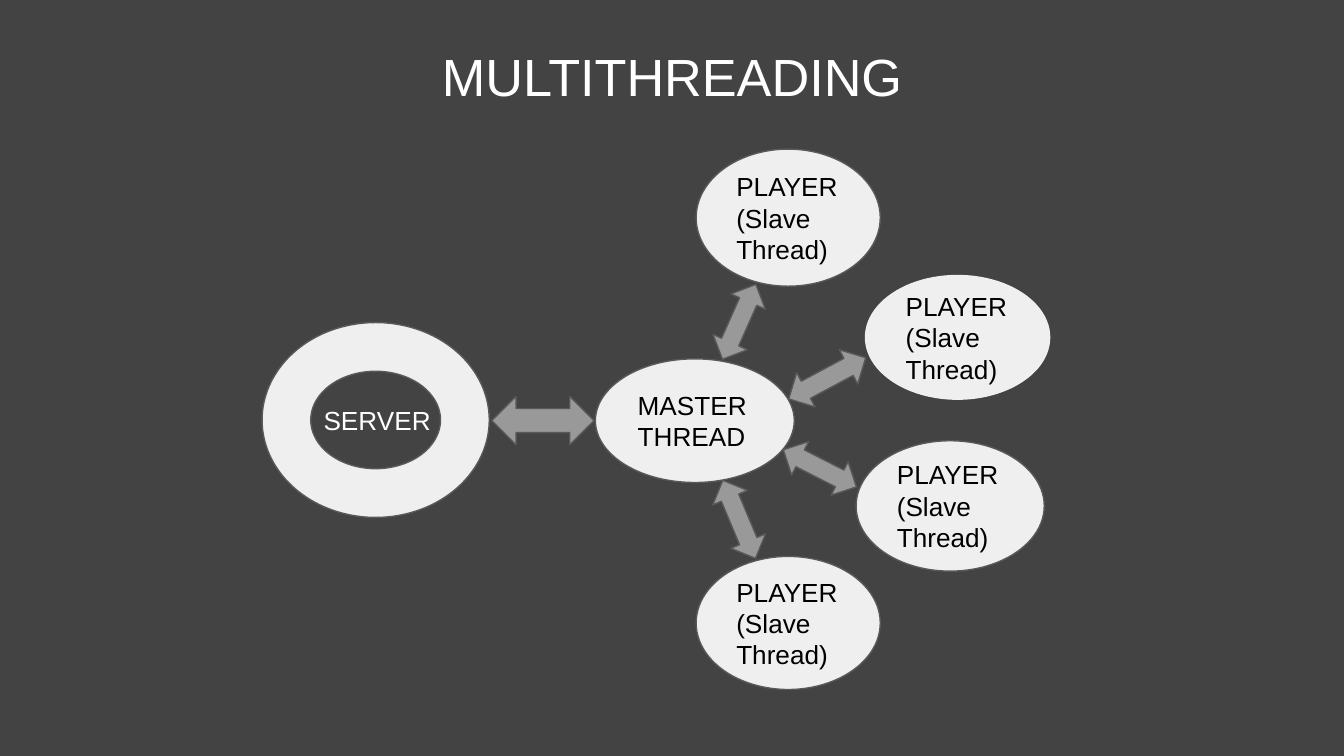
from dataclasses import dataclass

from pptx import Presentation
from pptx.dml.color import RGBColor
from pptx.enum.shapes import MSO_SHAPE
from pptx.enum.text import MSO_ANCHOR, MSO_AUTO_SIZE, PP_ALIGN
from pptx.util import Inches, Pt


@dataclass(frozen=True)
class Theme:
    font: str = "Arial"
    background: str = "434343"
    node: str = "EFEFEF"
    arrow: str = "999999"
    outline: str = "595959"
    light_text: str = "FFFFFF"
    dark_text: str = "000000"
    title_size: int = 28
    label_size: int = 14
    outline_width: float = 0.75


THEME = Theme()
PLAYER_LABEL = "PLAYER\n(Slave Thread)"

# Left, top, width, height and outline of each player node
PLAYERS = [
    (5.18, 1.11, 1.37, 1.02, THEME.outline),
    (6.44, 2.05, 1.37, 0.92, THEME.node),
    (6.37, 3.28, 1.40, 0.97, THEME.outline),
    (5.18, 4.14, 1.37, 0.99, THEME.outline),
]

# Preset, left, top, width, height and rotation of each arrow
ARROWS = [
    (MSO_SHAPE.LEFT_RIGHT_ARROW, 3.66, 2.95, 0.76, 0.36, 0),
    (MSO_SHAPE.UP_DOWN_ARROW, 5.36, 2.09, 0.28, 0.61, 24),
    (MSO_SHAPE.LEFT_RIGHT_ARROW, 5.83, 2.67, 0.65, 0.29, 331.8),
    (MSO_SHAPE.UP_DOWN_ARROW, 5.96, 3.18, 0.28, 0.61, 117),
    (MSO_SHAPE.UP_DOWN_ARROW, 5.36, 3.55, 0.28, 0.63, 337.3),
]


def set_text(frame, text, size, color, align, anchor, left_inset=0.1):
    frame.text = text
    frame.word_wrap = True
    frame.auto_size = MSO_AUTO_SIZE.NONE
    frame.vertical_anchor = anchor
    frame.margin_left = Inches(left_inset)
    frame.margin_right = frame.margin_top = frame.margin_bottom = Inches(0.1)
    for para in frame.paragraphs:
        para.alignment = align
        para.line_spacing = 1.0
        para.space_before = Pt(0)
        for span in para.runs:
            span.font.name = THEME.font
            span.font.size = Pt(size)
            span.font.color.rgb = RGBColor.from_string(color)


def add_title(page, text):
    title = page.shapes.title
    title.left, title.top = Inches(0.34), Inches(0.23)
    title.width, title.height = Inches(9.32), Inches(0.63)
    set_text(title.text_frame, text, THEME.title_size, THEME.light_text,
             PP_ALIGN.CENTER, MSO_ANCHOR.TOP)


def add_figure(page, preset, left, top, width, height, fill, outline):
    figure = page.shapes.add_shape(
        preset, Inches(left), Inches(top), Inches(width), Inches(height))
    figure.shadow.inherit = False
    figure.fill.solid()
    figure.fill.fore_color.rgb = RGBColor.from_string(fill)
    figure.line.color.rgb = RGBColor.from_string(outline)
    figure.line.width = Pt(THEME.outline_width)
    return figure


def add_node(page, text, left, top, width, height, outline=THEME.outline,
             preset=MSO_SHAPE.OVAL, color=THEME.dark_text, left_inset=0.1):
    node = add_figure(page, preset, left, top, width, height, THEME.node, outline)
    set_text(node.text_frame, text, THEME.label_size, color,
             PP_ALIGN.LEFT, MSO_ANCHOR.MIDDLE, left_inset)


def add_arrow(page, preset, left, top, width, height, rotation):
    arrow = add_figure(page, preset, left, top, width, height,
                       THEME.arrow, THEME.outline)
    arrow.rotation = rotation


def main():
    # Widescreen page, 16:9
    deck = Presentation()
    deck.slide_width = Inches(10)
    deck.slide_height = deck.slide_width * 9 // 16
    page = deck.slides.add_slide(deck.slide_layouts[5])
    page.background.fill.solid()
    page.background.fill.fore_color.rgb = RGBColor.from_string(THEME.background)
    add_title(page, "MULTITHREADING")

    # Master thread and its players
    add_node(page, "MASTER\nTHREAD", 4.43, 2.67, 1.48, 0.92)
    for player in PLAYERS:
        add_node(page, PLAYER_LABEL, *player)

    # Two-way links
    for arrow in ARROWS:
        add_arrow(page, *arrow)

    # Server ring
    add_node(page, "SERVER", 1.95, 2.4, 1.69, 1.45, preset=MSO_SHAPE.DONUT,
             color=THEME.light_text, left_inset=0.21)

    deck.save("out.pptx")


if __name__ == "__main__":
    main()
